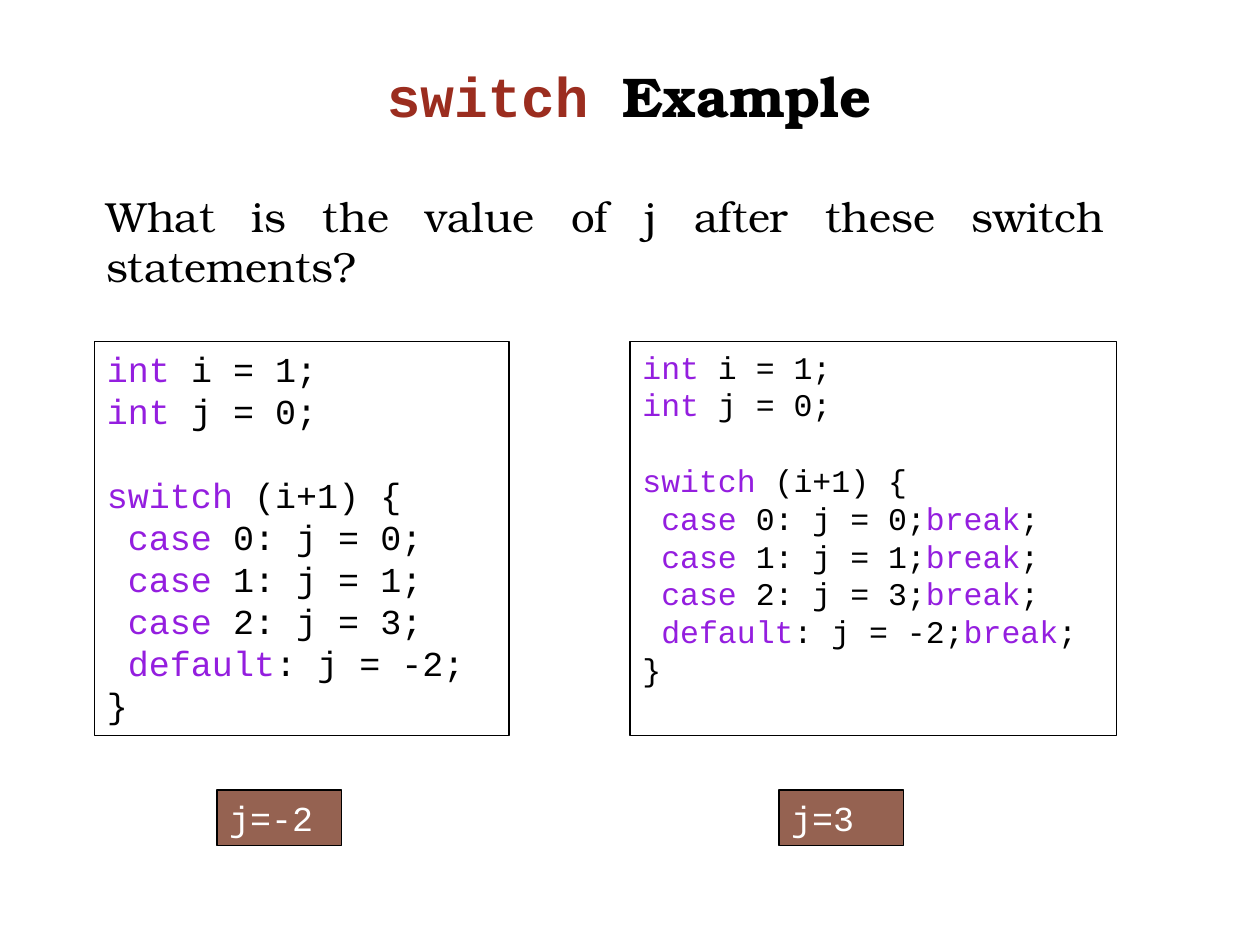
from pptx import Presentation
from pptx.dml.color import RGBColor as RGB
from pptx.enum.shapes import MSO_SHAPE as Shape
from pptx.enum.text import MSO_ANCHOR as Anchor, MSO_AUTO_SIZE as Fit, PP_ALIGN as Align
from pptx.util import Inches, Pt

HEX = {"black": "000000", "white": "FFFFFF", "key": "941EDF",
       "red": "9B2D1F", "brown": "956251"}
RGBS = {name: RGB.from_string(code) for name, code in HEX.items()}
MONO, SERIF = "Courier New", "TeX Gyre Bonum"

# Keywords stand between asterisks.
START = ["*int* i = 1;", "*int* j = 0;", ""]
FALL = ["*switch* (i+1) {", " *case* 0: j = 0;", " *case* 1: j = 1;",
        " *case* 2: j = 3;", " *default*: j = -2;", "}"]
BREAK = [line + "*break*;" if line.startswith(" ") else line for line in FALL]


def style(font, name, size, color):
    font.name, font.size = name, Pt(size)
    font.color.rgb = RGBS[color]


def add_box(left, top, width, height, weight):
    """Add an outlined rectangle with top-left text and return it."""
    box = slide.shapes.add_shape(Shape.RECTANGLE, Inches(left), Inches(top),
                                 Inches(width), Inches(height))
    box.shadow.inherit = False
    box.fill.background()
    box.line.color.rgb = RGBS["black"]
    box.line.width = Pt(weight)
    frame = box.text_frame
    frame.word_wrap = True
    frame.vertical_anchor = Anchor.TOP
    frame.paragraphs[0].alignment = Align.LEFT
    return box


deck = Presentation()
deck.slide_width, deck.slide_height = Inches(10), Inches(7.5)
slide = deck.slides.add_slide(deck.slide_layouts[5])

# Title
title = slide.shapes.title
title.left, title.top = Inches(0.33), Inches(0.24)
title.width, title.height = Inches(9.33), Inches(0.83)
frame = title.text_frame
frame.auto_size = Fit.NONE
frame.vertical_anchor = Anchor.BOTTOM
para = frame.paragraphs[0]
para.alignment = Align.CENTER
para.font.bold = True
for text, name, color in [("switch ", MONO, "red"), ("Example", SERIF, "black")]:
    run = para.add_run()
    run.text = text
    style(run.font, name, 32, color)

# Question
ask = slide.shapes.add_textbox(Inches(0.75), Inches(1.46), Inches(8.11), Inches(0.83))
ask.text_frame.word_wrap = True
para = ask.text_frame.paragraphs[0]
para.text = "What is the value of j after these switch statements?"
para.alignment = Align.JUSTIFY
para.space_before = Pt(5)
style(para.font, SERIF, 24, "black")

# Code panels, each with its answer below
for left, width, size, body, spot, answer in [
        (0.75, 3.29, 20, FALL, 1.72, "j=-2"),
        (5, 3.86, 18, BREAK, 6.18, "j=3")]:
    frame = add_box(left, 2.71, width, 3.13, 0.75).text_frame
    for para, lines in [(frame.paragraphs[0], START), (frame.add_paragraph(), body)]:
        para.alignment = Align.LEFT
        style(para.font, MONO, size, "black")
        for row, line in enumerate(lines):
            if row:
                para.add_line_break()
            for part, text in enumerate(line.split("*")):
                if text:
                    run = para.add_run()
                    run.text = text
                    run.font.color.rgb = RGBS["key" if part % 2 else "black"]

    box = add_box(spot, 6.27, 0.99, 0.44, 1)
    box.fill.solid()
    box.fill.fore_color.rgb = RGBS["brown"]
    para = box.text_frame.paragraphs[0]
    para.text = answer
    style(para.font, MONO, 20, "white")

deck.save("out.pptx")
